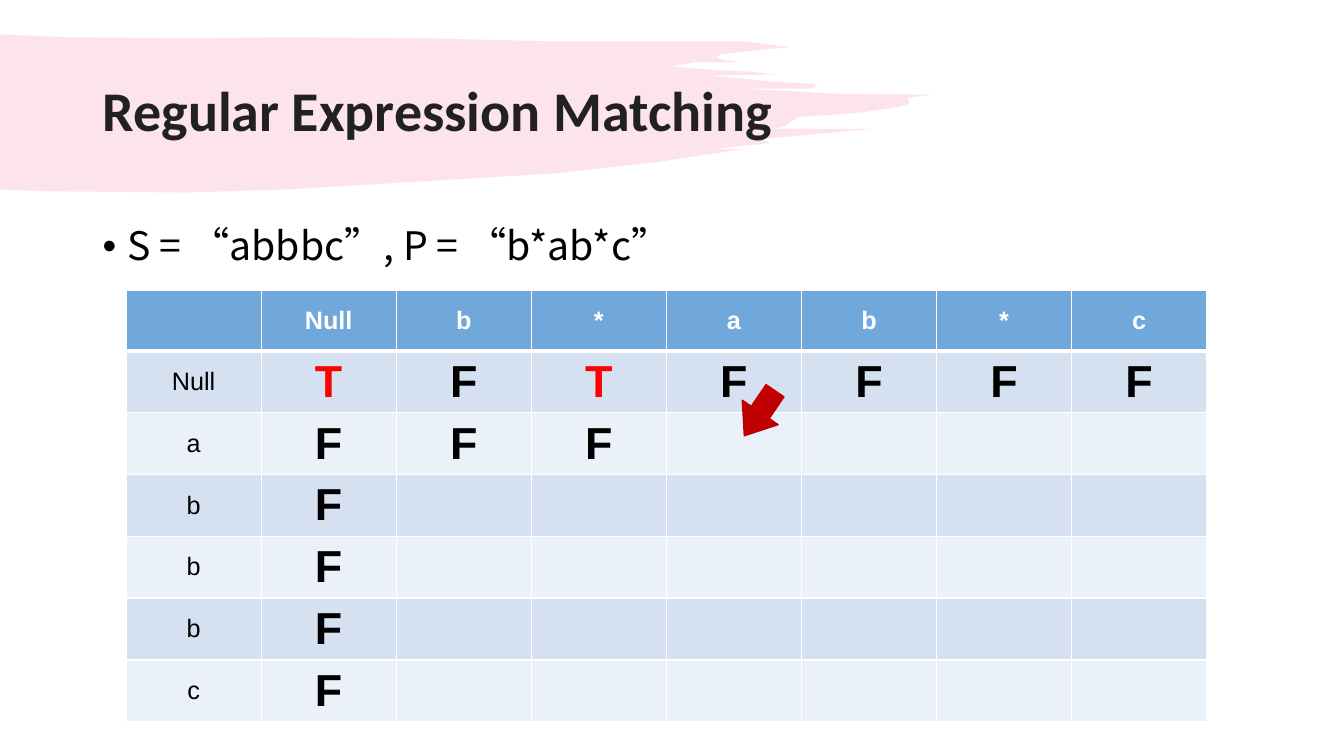
import pptx
import pptx.dml.color
import pptx.enum.shapes
import pptx.enum.text
import pptx.oxml
import pptx.oxml.ns
import pptx.util
from lxml import etree

Inches = pptx.util.Inches
Pt = pptx.util.Pt
RGBColor = pptx.dml.color.RGBColor
qn = pptx.oxml.ns.qn
MIDDLE = pptx.enum.text.MSO_ANCHOR.MIDDLE
CENTER = pptx.enum.text.PP_ALIGN.CENTER

BRUSH_PINK = RGBColor(0xF0, 0x7C, 0x98)
TITLE_GRAY = RGBColor(0x21, 0x21, 0x21)
BLACK = RGBColor(0, 0, 0)
WHITE = RGBColor(0xFF, 0xFF, 0xFF)
TRUE_RED = RGBColor(0xFF, 0, 0)
ARROW_RED = RGBColor(0xC0, 0, 0)
HEADER_BLUE = RGBColor(0x70, 0xA8, 0xDB)
BAND_DARK = RGBColor(0xD5, 0xE1, 0xF1)
BAND_LIGHT = RGBColor(0xEB, 0xF1, 0xF8)


def style_run(run, font, size, color, bold=False):
    run.font.name = font
    run.font.size = Pt(size)
    run.font.color.rgb = color
    run.font.bold = bold


def add_border(cell, side, width):
    line = etree.SubElement(cell._tc.get_or_add_tcPr(), qn(f"a:ln{side}"), w=str(Pt(width)))
    fill = etree.SubElement(line, qn("a:solidFill"))
    etree.SubElement(fill, qn("a:srgbClr"), val=str(WHITE))


deck = pptx.Presentation()
deck.slide_width = Inches(13.33)
deck.slide_height = Inches(7.5)
slide = deck.slides.add_slide(deck.slide_layouts[6])

# Brush stroke behind the title
brush_outline = [
    (0, 0.34), (0.18, 0.35), (0.7, 0.37), (1.86, 0.38), (2.85, 0.37), (4.21, 0.38),
    (5.44, 0.41), (6.94, 0.41), (7.4, 0.41), (7.83, 0.47), (7.58, 0.49), (7.14, 0.54),
    (7.1, 0.57), (7.16, 0.59), (7.35, 0.62), (6.88, 0.62), (6.65, 0.66), (6.9, 0.68),
    (7.16, 0.7), (7.44, 0.71), (7.69, 0.74), (7.03, 0.75), (7.37, 0.78), (7.65, 0.81),
    (7.85, 0.82), (8.06, 0.83), (8.11, 0.85), (8.05, 0.88), (7.95, 0.88), (7.36, 0.88),
    (8.3, 0.93), (9.25, 0.94), (9, 0.97), (9.02, 1.03), (8.91, 1.06), (8.59, 1.11),
    (8.39, 1.13), (7.92, 1.16), (7.85, 1.2), (7.79, 1.25), (7.67, 1.28), (8.63, 1.28),
    (7.55, 1.38), (7.64, 1.42), (7.05, 1.48), (7.37, 1.48), (6.5, 1.61), (5.51, 1.72),
    (2.86, 1.88), (1.83, 1.91), (0.65, 1.9), (0.21, 1.89), (0, 1.88),
]
brush_points = [(Inches(x), Inches(y)) for x, y in brush_outline]
builder = slide.shapes.build_freeform(*brush_points[0])
builder.add_line_segments(brush_points[1:], close=True)
brush = builder.convert_to_shape()
brush.shadow.inherit = False
brush.fill.solid()
brush.fill.fore_color.rgb = BRUSH_PINK
brush.line.fill.background()
brush_color = brush._element.spPr.find(qn("a:solidFill")).find(qn("a:srgbClr"))
etree.SubElement(brush_color, qn("a:alpha"), val="20000")

# Title
title = slide.shapes.add_textbox(Inches(0.92), Inches(0.4), Inches(11.5), Inches(1.45))
title.text_frame.word_wrap = True
title.text_frame.vertical_anchor = MIDDLE
title.text_frame.text = "Regular Expression Matching"
heading = title.text_frame.paragraphs[0]
heading.line_spacing = 0.9
style_run(heading.runs[0], "Calibri", 40, TITLE_GRAY, True)

# Bullet with the string and the pattern
example = slide.shapes.add_textbox(Inches(0.92), Inches(2.2), Inches(11.5), Inches(4.55))
example.text_frame.word_wrap = True
example.text_frame.text = "S = “abbbc”, P = “b*ab*c”"
bullet = example.text_frame.paragraphs[0]
bullet_props = bullet._p.get_or_add_pPr()
bullet_props.set("marL", str(Inches(0.25)))
bullet_props.set("indent", str(-Inches(0.25)))
etree.SubElement(bullet_props, qn("a:buFont"), typeface="Arial")
etree.SubElement(bullet_props, qn("a:buChar"), char="•")
bullet.line_spacing = 0.9
style_run(bullet.runs[0], "Noto Sans CJK TC", 28, BLACK)
etree.SubElement(bullet.runs[0]._r.get_or_add_rPr(), qn("a:ea"), typeface="Noto Sans CJK TC")

# Matching table: pattern across, string down
matches = [
    ["", "Null", "b", "*", "a", "b", "*", "c"],
    ["Null", "T", "F", "T", "F", "F", "F", "F"],
    ["a", "F", "F", "F"],
    ["b", "F"],
    ["b", "F"],
    ["b", "F"],
    ["c", "F"],
]
row_count, column_count = len(matches), len(matches[0])
table = slide.shapes.add_table(row_count, column_count, Inches(1.25), Inches(2.88),
                               Inches(10.74), Inches(4.2)).table
for column in table.columns:
    column.width = Inches(1.34)
for row in table.rows:
    row.height = Inches(0.6)

for r in range(row_count):
    for c in range(column_count):
        cell = table.cell(r, c)
        cell.margin_top = cell.margin_bottom = Inches(0.04)
        cell.vertical_anchor = MIDDLE
        add_border(cell, "L", 1)
        add_border(cell, "R", 1)
        add_border(cell, "T", 3 if r == 1 else 1)
        add_border(cell, "B", 3 if r == 0 else 1)
        cell.fill.solid()
        if r == 0:
            cell.fill.fore_color.rgb = HEADER_BLUE
        else:
            cell.fill.fore_color.rgb = BAND_DARK if r % 2 else BAND_LIGHT

        label = matches[r][c] if c < len(matches[r]) else ""
        if not label:
            continue
        cell.text_frame.text = label
        paragraph = cell.text_frame.paragraphs[0]
        paragraph.alignment = CENTER
        if r == 0:
            style_run(paragraph.runs[0], "Arial", 18, WHITE, True)
        elif c == 0:
            style_run(paragraph.runs[0], "Arial", 18, BLACK)
        else:
            style_run(paragraph.runs[0], "Arial", 32, TRUE_RED if label == "T" else BLACK, True)

# Arrow to the next cell to fill
arrow = slide.shapes.add_shape(pptx.enum.shapes.MSO_SHAPE.DOWN_ARROW, Inches(7.32),
                               Inches(3.83), Inches(0.43), Inches(0.54))
arrow.shadow.inherit = False
arrow.rotation = 34.3
arrow.adjustments[0] = 0.5
arrow.adjustments[1] = 0.65
arrow.fill.solid()
arrow.fill.fore_color.rgb = ARROW_RED
arrow.line.color.rgb = ARROW_RED
arrow.line.width = Pt(1)

deck.save("out.pptx")
